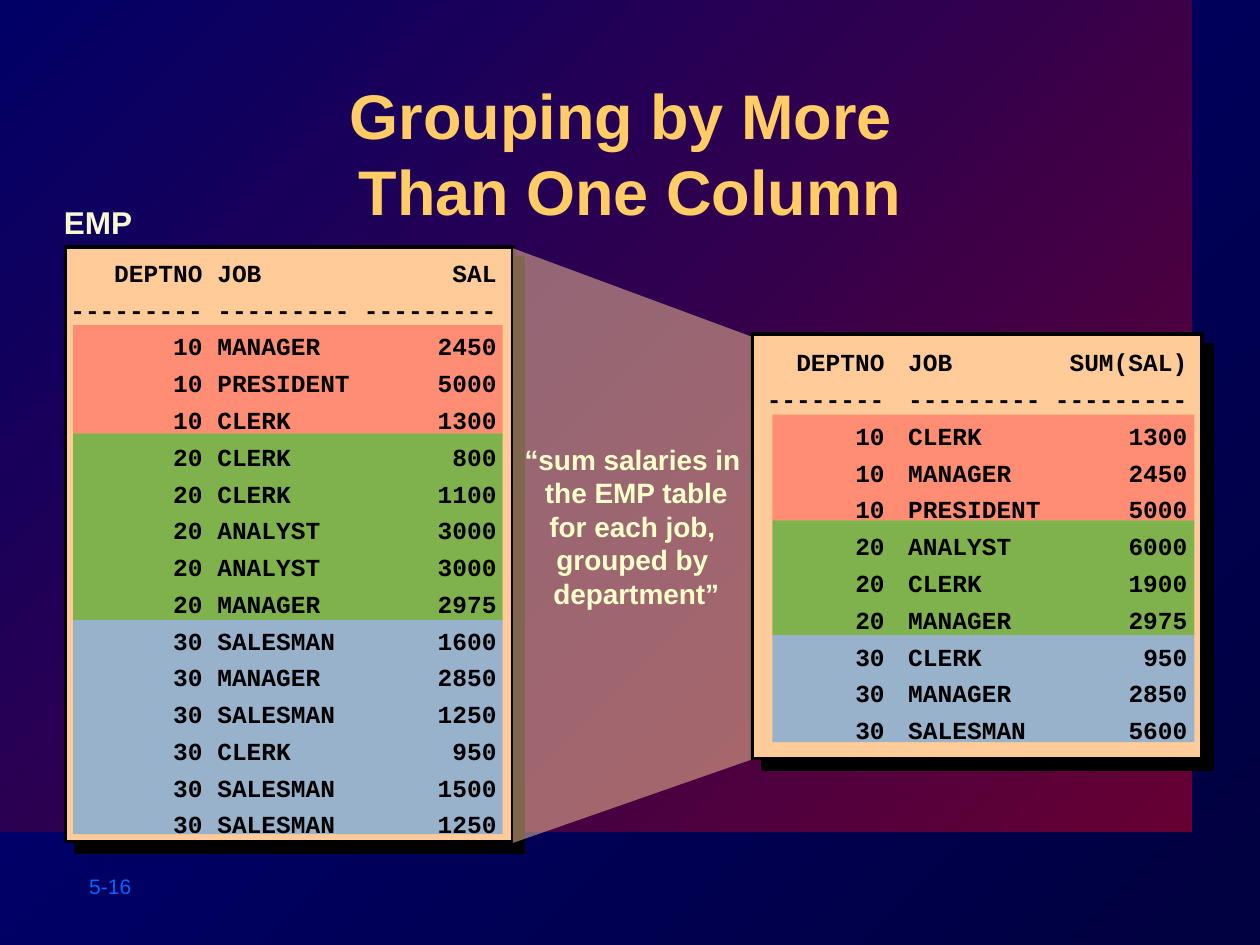
from pptx import Presentation, util as u
from pptx.dml.color import RGBColor
from pptx.enum import shapes, text
from pptx.oxml import parse_xml
from pptx.oxml.ns import nsdecls, qn

TITLE = "Grouping by More \vThan One Column"
QUOTE = ["“sum salaries in ", "the EMP table\vfor each job, ", "grouped by ", "department”"]
EMP = [
    ("DEPTNO", "JOB", "SAL"),
    ("-" * 9, "-" * 9, "-" * 9),
    (10, "MANAGER", 2450),
    (10, "PRESIDENT", 5000),
    (10, "CLERK", 1300),
    (20, "CLERK", 800),
    (20, "CLERK", 1100),
    (20, "ANALYST", 3000),
    (20, "ANALYST", 3000),
    (20, "MANAGER", 2975),
    (30, "SALESMAN", 1600),
    (30, "MANAGER", 2850),
    (30, "SALESMAN", 1250),
    (30, "CLERK", 950),
    (30, "SALESMAN", 1500),
    (30, "SALESMAN", 1250),
]
SUMS = [
    ("DEPTNO", "JOB", "SUM(SAL)"),
    ("-" * 8, "-" * 9, "-" * 9),
    (10, "CLERK", 1300),
    (10, "MANAGER", 2450),
    (10, "PRESIDENT", 5000),
    (20, "ANALYST", 6000),
    (20, "CLERK", 1900),
    (20, "MANAGER", 2975),
    (30, "CLERK", 950),
    (30, "MANAGER", 2850),
    (30, "SALESMAN", 5600),
]
COLORS = {
    "night": "00003F", "navy": "000080", "wine": "660033", "indigo": "000066",
    "peach": "FFCC99", "black": "000000", "gold": "FFCC66", "cream": "F8F8D3",
    "lemon": "FFFFCC", "link": "0066FF",
    "dept10": "FF5050", "dept20": "009900", "dept30": "3399FF",
}
BANDS = ["dept10", "dept20", "dept30"]
EMP_BAND = (0.58, 3.41, [2.58, 3.44, 4.92, 6.62])
SUM_BAND = (6.13, 3.35, [3.29, 4.13, 5.04, 5.89])
CHAR = 14 * 0.6 / 72
LEFT, CENTER, RIGHT = text.PP_ALIGN.LEFT, text.PP_ALIGN.CENTER, text.PP_ALIGN.RIGHT


def rgb(name):
    return RGBColor.from_string(COLORS[name])


def shadow_xml(distance):
    return parse_xml(
        f'<a:effectLst {nsdecls("a")}><a:outerShdw dist="{int(u.Pt(distance))}" '
        'dir="2700000" algn="ctr" rotWithShape="0"><a:srgbClr val="000000"/>'
        '</a:outerShdw></a:effectLst>')


def paint_gradient(fill, start, end):
    fill.gradient()
    fill.gradient_angle = 135
    for stop, name in zip(fill.gradient_stops, (start, end)):
        stop.color.rgb = rgb(name)


def paint(shape, name, opacity=100):
    shape.shadow.inherit = False
    shape.fill.solid()
    shape.fill.fore_color.rgb = rgb(name)
    shape.line.fill.background()
    if opacity < 100:
        color = shape._element.spPr.find(qn("a:solidFill"))[0]
        color.append(parse_xml(f'<a:alpha {nsdecls("a")} val="{opacity * 1000}"/>'))


def add_rect(page, *area):
    return page.shapes.add_shape(shapes.MSO_SHAPE.RECTANGLE, *map(u.Inches, area))


def add_panel(page, *area):
    panel = add_rect(page, *area)
    paint(panel, "peach")
    panel.line.color.rgb = rgb("black")
    panel.line.width = u.Pt(2)
    props = panel._element.spPr
    props.replace(props.find(qn("a:effectLst")), shadow_xml(8.5))


def add_bands(page, left, width, edges):
    for name, top, bottom in zip(BANDS, edges, edges[1:]):
        paint(add_rect(page, left, top, width, bottom - top), name, 50)


def write(box, lines, size, color, font="Arial", bold=True, align=LEFT,
          spacing=None, tabs=(), wrap=False):
    frame = box.text_frame
    frame.word_wrap = wrap
    frame.vertical_anchor = text.MSO_ANCHOR.TOP
    frame.text = "\n".join(lines)
    for para in frame.paragraphs:
        para.alignment = align
        if spacing:
            para.line_spacing = spacing
        if tabs:
            stops = "".join(f'<a:tab pos="{int(u.Inches(place))}" algn="{side}"/>'
                            for place, side in tabs)
            para._p.get_or_add_pPr().append(
                parse_xml(f'<a:tabLst {nsdecls("a")}>{stops}</a:tabLst>'))
        for span in para.runs:
            span.font.name = font
            span.font.size = u.Pt(size)
            span.font.bold = bold
            span.font.color.rgb = rgb(color)


def add_text(page, area, lines, size, color, **style):
    box = page.shapes.add_textbox(*map(u.Inches, area))
    write(box, lines, size, color, **style)


def add_listing(page, area, rows, **style):
    add_text(page, area, rows, 14, "black", font="Courier New", spacing=1.25,
             wrap=True, **style)


def main():
    deck = Presentation()
    deck.slide_width, deck.slide_height = u.Inches(10), u.Inches(7.5)
    page = deck.slides.add_slide(deck.slide_layouts[5])
    paint_gradient(page.background.fill, "night", "navy")

    backdrop = add_rect(page, 0, 0, 9.46, 6.6)
    paint(backdrop, "wine")
    paint_gradient(backdrop.fill, "wine", "indigo")
    add_text(page, (0.61, 6.88, 1.11, 0.3), ["5-16"], 12, "link", bold=False)
    add_panel(page, 5.97, 2.65, 3.57, 3.37)

    title = page.shapes.title
    backdrop._element.getparent().append(title._element)
    title.left, title.top, title.width, title.height = map(u.Inches, (1.01, 0.56, 7.98, 0.96))
    write(title, [TITLE], 36, "gold", align=CENTER, wrap=True)
    for span in title.text_frame.paragraphs[0].runs:
        span.font._element.find(qn("a:solidFill")).addnext(shadow_xml(3))

    add_panel(page, 0.52, 1.96, 3.55, 4.72)
    add_text(page, (0.41, 1.56, 0.74, 0.4), ["EMP"], 18, "cream")

    outline = page.shapes.build_freeform(u.Inches(4.07), u.Inches(6.69))
    outline.add_line_segments(
        [(u.Inches(x), u.Inches(y)) for x, y in ((4.07, 1.97), (5.96, 2.67), (5.96, 6.03))])
    paint(outline.convert_to_shape(), "peach", 50)
    add_text(page, (4.06, 3.46, 1.98, 1.43), QUOTE, 16, "lemon", align=CENTER)

    add_bands(page, *EMP_BAND)
    add_bands(page, *SUM_BAND)
    add_listing(page, (0.46, 1.94, 3.65, 4.77),
                [f"\t{dept}\t{job}\t{pay}" for dept, job, pay in EMP],
                tabs=[(9 * CHAR, "r"), (10 * CHAR, "l"), (29 * CHAR, "r")])
    add_listing(page, (7.11, 2.65, 2.48, 3.31),
                [f"{job}\t{pay}" for _, job, pay in SUMS], tabs=[(19 * CHAR, "r")])
    add_listing(page, (5.98, 2.65, 1.14, 3.31),
                [str(dept) for dept, _, _ in SUMS], align=RIGHT)
    deck.save("out.pptx")


if __name__ == "__main__":
    main()
